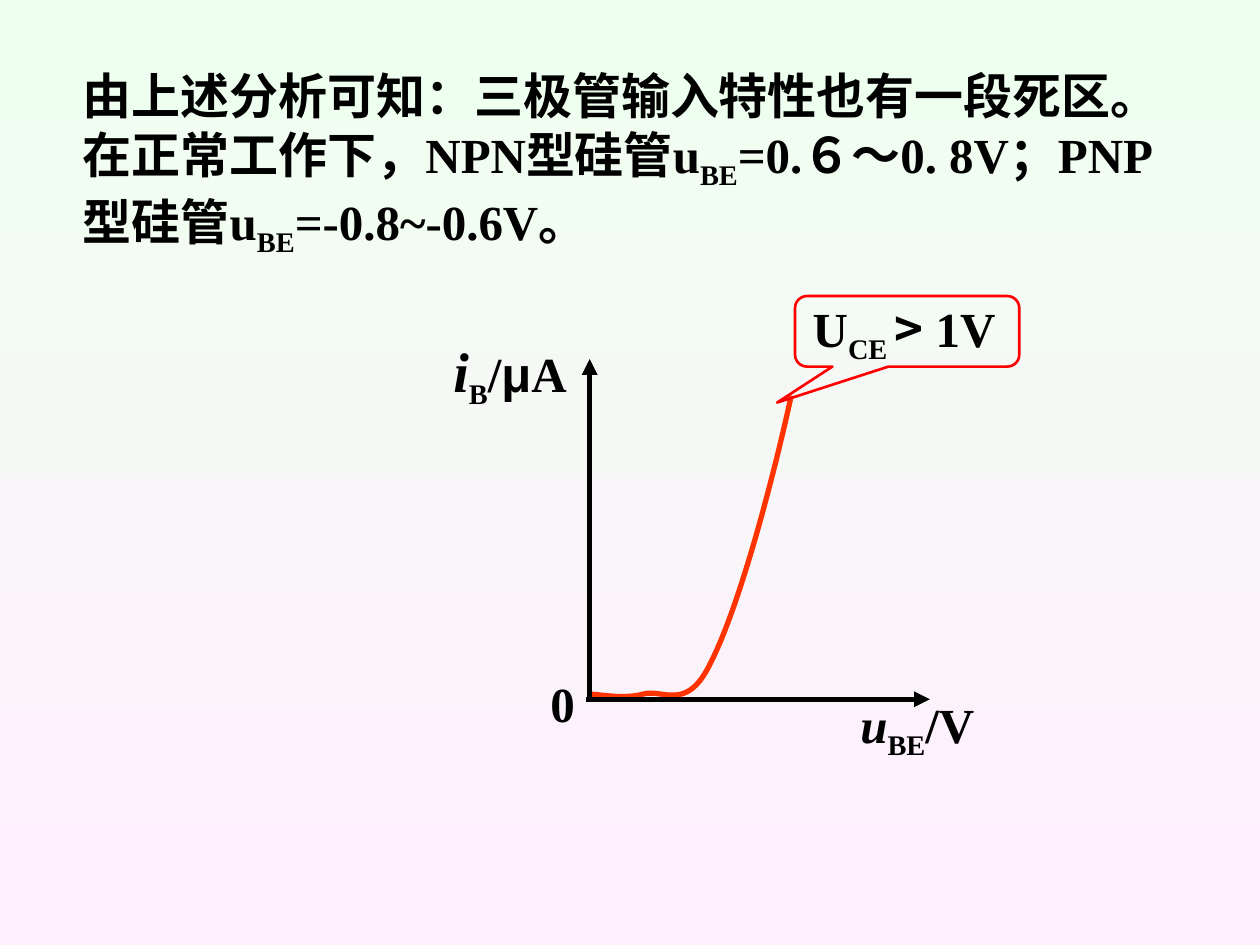
from lxml import etree
from pptx import Presentation
from pptx.dml.color import RGBColor
from pptx.enum.shapes import MSO_CONNECTOR, MSO_SHAPE
from pptx.enum.text import MSO_ANCHOR, PP_ALIGN
from pptx.oxml.ns import qn
from pptx.util import Inches, Pt

STRAIGHT = MSO_CONNECTOR.STRAIGHT
CALLOUT = MSO_SHAPE.ROUNDED_RECTANGULAR_CALLOUT
TOP, MIDDLE = MSO_ANCHOR.TOP, MSO_ANCHOR.MIDDLE
LEFT, CENTER = PP_ALIGN.LEFT, PP_ALIGN.CENTER

BLACK = RGBColor(0x00, 0x00, 0x00)
RED = RGBColor(0xFF, 0x00, 0x00)
ORANGE = RGBColor(0xFF, 0x33, 0x00)
MINT = RGBColor(0xEF, 0xFF, 0xEF)
PINK = RGBColor(0xFF, 0xEF, 0xFF)

SERIF, CJK, SANS = "Times New Roman", "Noto Sans CJK SC", "Arial"

# Start point, then (control, control, end) for each cubic segment
CURVE_START = (4.69, 5.51)
CURVE_SEGMENTS = [
    ((4.76, 5.51), (4.94, 5.55), (5.10, 5.51)),
    ((5.26, 5.46), (5.45, 5.66), (5.64, 5.26)),
    ((5.84, 4.87), (6.09, 4.00), (6.28, 3.14)),
]


def styled(text, font=SERIF, size=28, italic=False, baseline=0):
    """Pair a piece of text with its format."""
    return text, dict(font=font, size=size, italic=italic, baseline=baseline)


def subscript(text):
    return styled(text, baseline=-25)


def curve_points(start, segments, steps=24):
    """Sample a chain of cubic Bezier segments."""
    points = [start]
    for first, second, end in segments:
        for step in range(1, steps + 1):
            t = step / steps
            weights = ((1 - t) ** 3, 3 * t * (1 - t) ** 2, 3 * t * t * (1 - t), t ** 3)
            corners = (start, first, second, end)
            points.append(tuple(
                sum(weight * corner[axis] for weight, corner in zip(weights, corners))
                for axis in (0, 1)))
        start = end
    return points


class SlideBuilder:
    def __init__(self, page, color=BLACK, line_width=3):
        self.page = page
        self.color = color
        self.line_width = line_width

    def background(self, top, bottom):
        fill = self.page.background.fill
        fill.gradient()
        fill.gradient_angle = 270
        for stop, color, position in zip(fill.gradient_stops, (top, bottom), (0, 1)):
            stop.color.rgb = color
            stop.position = position

    def text(self, left, top, width, height, pieces, align=LEFT, anchor=MIDDLE, wrap=True):
        box = self.page.shapes.add_textbox(
            Inches(left), Inches(top), Inches(width), Inches(height))
        frame = box.text_frame
        frame.word_wrap = wrap
        frame.vertical_anchor = anchor
        para = frame.paragraphs[0]
        para.alignment = align
        for text, style in pieces:
            span = para.add_run()
            span.text = text
            span.font.name = style["font"]
            span.font.size = Pt(style["size"])
            span.font.bold = True
            span.font.italic = style["italic"]
            span.font.color.rgb = self.color
            properties = span._r.get_or_add_rPr()
            if style["baseline"]:
                properties.set("baseline", str(style["baseline"] * 1000))
            etree.SubElement(properties, qn("a:ea"), typeface=CJK)

    def axis(self, start, end):
        arrow = self.page.shapes.add_connector(
            STRAIGHT, *(Inches(value) for value in (*start, *end)))
        arrow.line.color.rgb = self.color
        arrow.line.width = Pt(self.line_width)
        etree.SubElement(arrow.line._get_or_add_ln(), qn("a:tailEnd"), type="triangle")
        etree.SubElement(arrow._element.spPr, qn("a:effectLst"))

    def outline(self, shape, color, width):
        shape.shadow.inherit = False
        shape.fill.background()
        shape.line.color.rgb = color
        shape.line.width = Pt(width)

    def curve(self, points, color):
        (x, y), *rest = [(Inches(x), Inches(y)) for x, y in points]
        builder = self.page.shapes.build_freeform(x, y)
        builder.add_line_segments(rest, close=False)
        self.outline(builder.convert_to_shape(), color, self.line_width)

    def callout(self, left, top, width, height, adjustments, color):
        shape = self.page.shapes.add_shape(
            CALLOUT, Inches(left), Inches(top), Inches(width), Inches(height))
        for index, value in enumerate(adjustments):
            shape.adjustments[index] = value
        self.outline(shape, color, 1.5)


def main():
    deck = Presentation()
    deck.slide_width, deck.slide_height = Inches(10), Inches(7.5)
    slide = SlideBuilder(deck.slides.add_slide(deck.slide_layouts[6]))
    slide.background(MINT, PINK)

    slide.text(0.56, 0.47, 8.92, 1.63, [
        styled("由上述分析可知：三极管输入特性也有一段死区。在正常工作下，NPN型硅管u"),
        subscript("BE"),
        styled("=0.６～0. 8V；PNP型硅管u"),
        subscript("BE"),
        styled("=-0.8~-0.6V。"),
    ], anchor=TOP)

    slide.curve(curve_points(CURVE_START, CURVE_SEGMENTS), ORANGE)
    slide.text(6.3, 2.32, 1.75, 0.63, [
        styled("U"), subscript("CE "), styled(">", font=CJK), styled(" 1V"),
    ], align=CENTER)
    slide.callout(6.31, 2.35, 1.78, 0.56, (-0.58, 1.01, 0.17), RED)

    slide.text(6.73, 5.46, 1.84, 0.63, [
        styled("u", italic=True), subscript("BE"), styled("/V"),
    ])
    slide.axis((4.65, 5.55), (7.38, 5.55))
    slide.text(3.5, 2.62, 1.24, 0.69, [
        styled("i", size=32, italic=True), subscript("B"), styled("/"),
        styled("μ", font=SANS), styled("A"),
    ])
    slide.text(4.27, 5.29, 0.39, 0.57, [styled("0")], align=CENTER, wrap=False)
    slide.axis((4.68, 5.56), (4.68, 2.85))

    deck.save("out.pptx")


if __name__ == "__main__":
    main()
